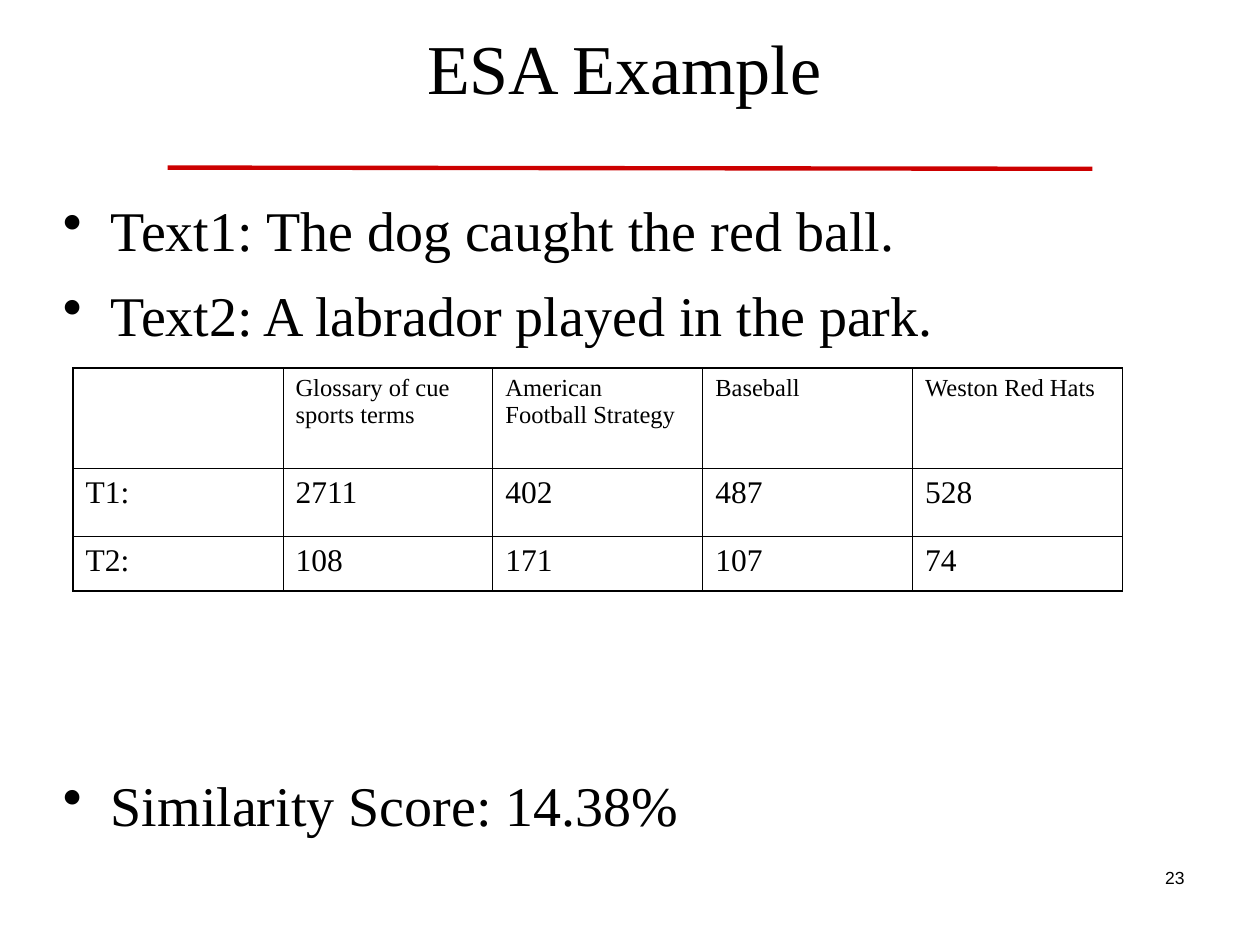
from dataclasses import dataclass

from lxml.etree import SubElement
from pptx import Presentation
from pptx.dml.color import RGBColor
from pptx.enum.shapes import MSO_CONNECTOR
from pptx.enum.text import MSO_ANCHOR, PP_ALIGN
from pptx.oxml.ns import qn
from pptx.util import Inches, Pt

COLORS = {"text": "000000", "rule": "CC0000", "border": "000000"}
SERIF = "Times New Roman"
OUTER_BORDER, INNER_BORDER = 1.08, 0.45


@dataclass
class Line:
    text: str
    size: float
    font: str = SERIF
    align: PP_ALIGN = PP_ALIGN.LEFT
    space_before: float = 0
    bullet: bool = False


@dataclass
class Block:
    left: float
    top: float
    width: float
    height: float
    lines: list[Line]
    anchor: MSO_ANCHOR = MSO_ANCHOR.TOP
    inset_x: float = 0
    inset_y: float = 0


def write_line(paragraph, line: Line) -> None:
    paragraph.alignment = line.align
    paragraph.space_before = Pt(line.space_before)
    if line.bullet:
        properties = paragraph._p.get_or_add_pPr()
        indent = Inches(0.38)
        properties.set("marL", str(indent))
        properties.set("indent", str(-indent))
        SubElement(properties, qn("a:buChar"), char="•")
    run = paragraph.add_run()
    run.text = line.text
    formats = {"size": Pt(line.size), "name": line.font, "bold": False}
    for name, value in formats.items():
        setattr(run.font, name, value)
    run.font.color.rgb = RGBColor.from_string(COLORS["text"])


def draw_block(slide, block: Block) -> None:
    frame = slide.shapes.add_textbox(
        Inches(block.left), Inches(block.top), Inches(block.width), Inches(block.height)
    ).text_frame
    formats = {
        "word_wrap": True,
        "vertical_anchor": block.anchor,
        "margin_left": Inches(block.inset_x),
        "margin_right": Inches(block.inset_x),
        "margin_top": Inches(block.inset_y),
        "margin_bottom": Inches(block.inset_y),
    }
    for name, value in formats.items():
        setattr(frame, name, value)
    for index, line in enumerate(block.lines):
        paragraph = frame.add_paragraph() if index else frame.paragraphs[0]
        write_line(paragraph, line)


def draw_border(cell, side: str, points: float) -> None:
    edge = SubElement(cell._tc.get_or_add_tcPr(), qn(f"a:ln{side}"), w=str(Pt(points)))
    fill = SubElement(edge, qn("a:solidFill"))
    SubElement(fill, qn("a:srgbClr"), val=COLORS["border"])


def draw_scores(slide, rows: list[list[str]], heights: list[float]) -> None:
    columns = len(rows[0])
    table = slide.shapes.add_table(
        len(rows), columns, Inches(0.58), Inches(2.92), Inches(8.33), Inches(sum(heights))
    ).table
    for name in ("first_row", "horz_banding"):
        setattr(table, name, False)
    for row_index, (texts, height) in enumerate(zip(rows, heights)):
        table.rows[row_index].height = Inches(height)
        for column, text in enumerate(texts):
            cell = table.cell(row_index, column)
            on_outside = {
                "L": column == 0,
                "R": column == columns - 1,
                "T": row_index == 0,
                "B": row_index == len(rows) - 1,
            }
            for side, outside in on_outside.items():
                draw_border(cell, side, OUTER_BORDER if outside else INNER_BORDER)
            cell.fill.background()
            if text:
                size = 18 if row_index else 14
                write_line(cell.text_frame.paragraphs[0], Line(text, size))


def draw_rule(slide) -> None:
    rule = slide.shapes.add_connector(
        MSO_CONNECTOR.STRAIGHT, Inches(1.33), Inches(1.33), Inches(8.67), Inches(1.34)
    )
    rule.line.color.rgb = RGBColor.from_string(COLORS["rule"])
    rule.line.width = Pt(2.5)
    SubElement(rule._element.spPr, qn("a:effectLst"))


BLOCKS = [
    # Slide number
    Block(7.17, 6.83, 2.33, 0.5, [Line("23", 10, "Arial", PP_ALIGN.RIGHT)],
          inset_x=0.1, inset_y=0.05),
    # Title
    Block(0.83, -0.19, 8.25, 1.43, [Line("ESA Example", 40, align=PP_ALIGN.CENTER)],
          MSO_ANCHOR.MIDDLE),
    # Texts above the table, score below it
    Block(0.5, 1.55, 8.67, 5.28, [
        Line("Text1: The dog caught the red ball.", 32, bullet=True),
        Line("Text2: A labrador played in the park.", 32, space_before=10, bullet=True),
        Line("Similarity Score: 14.38%", 32, space_before=242, bullet=True),
    ]),
]

SCORES = [
    ["", "Glossary of cue sports terms", "American Football Strategy", "Baseball",
     "Weston Red Hats"],
    ["T1:", "2711", "402", "487", "528"],
    ["T2:", "108", "171", "107", "74"],
]


def main() -> None:
    deck = Presentation()
    deck.slide_width, deck.slide_height = Inches(10), Inches(7.5)
    slide = deck.slides.add_slide(deck.slide_layouts[6])
    draw_rule(slide)
    for block in BLOCKS:
        draw_block(slide, block)
    draw_scores(slide, SCORES, [0.8, 0.54, 0.43])
    deck.save("out.pptx")


if __name__ == "__main__":
    main()
